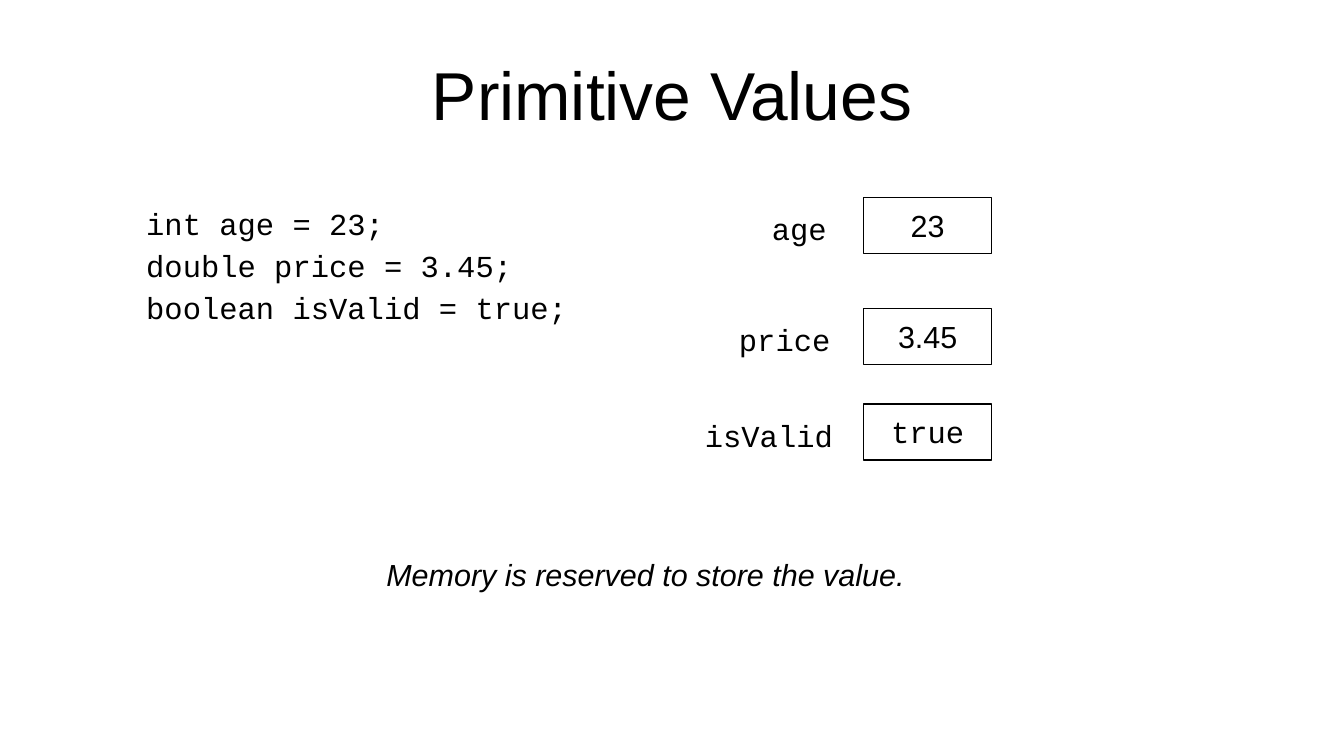
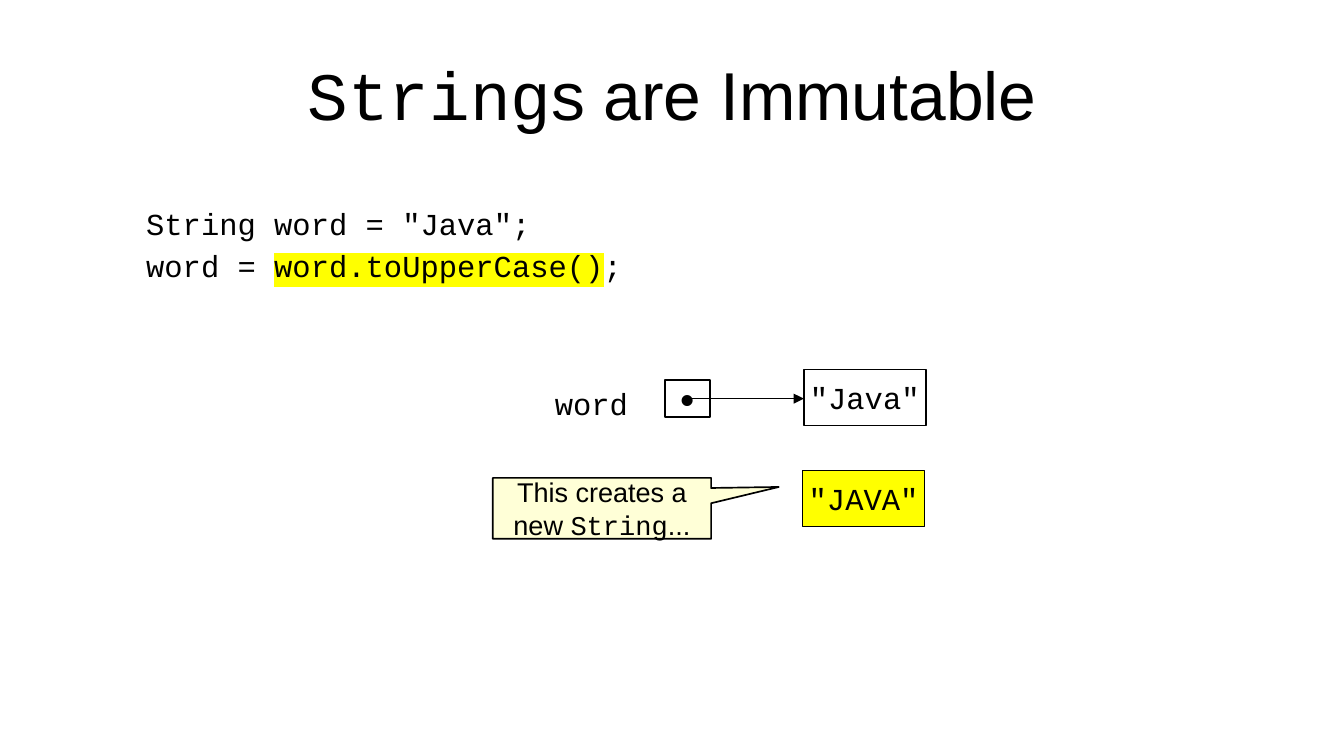
from dataclasses import dataclass
from typing import Optional

from lxml import etree
from pptx import Presentation
from pptx.dml.color import RGBColor
from pptx.enum.shapes import MSO_CONNECTOR, MSO_SHAPE
from pptx.enum.text import MSO_ANCHOR, MSO_AUTO_SIZE, PP_ALIGN
from pptx.oxml.ns import qn
from pptx.slide import Slide
from pptx.text.text import TextFrame
from pptx.util import Pt

RECT = MSO_SHAPE.RECTANGLE
CALLOUT = MSO_SHAPE.RECTANGULAR_CALLOUT
STRAIGHT = MSO_CONNECTOR.STRAIGHT
LEFT, CENTER = PP_ALIGN.LEFT, PP_ALIGN.CENTER
TOP, MIDDLE = MSO_ANCHOR.TOP, MSO_ANCHOR.MIDDLE
NO_FIT = MSO_AUTO_SIZE.NONE

BLACK = RGBColor(0x00, 0x00, 0x00)
WHITE = RGBColor(0xFF, 0xFF, 0xFF)
YELLOW = RGBColor(0xFF, 0xFF, 0x00)
CREAM = RGBColor(0xFF, 0xFF, 0xD7)
SANS, MONO = "Arial", "Courier New"

WIDTH, HEIGHT = 793.4, 446.4
TITLE_ONLY = 5
CELL_H = 33.1
LABEL_H = 27.4


@dataclass(frozen=True)
class Span:
    text: str
    font: str = MONO
    italic: bool = False
    mark: Optional[RGBColor] = None


Line = tuple[Span, ...]


@dataclass(frozen=True)
class Area:
    left: float
    top: float
    width: float
    height: float


@dataclass(frozen=True)
class Style:
    size: float = 18
    align: PP_ALIGN = LEFT
    anchor: MSO_ANCHOR = TOP
    pad: tuple[float, float] = (7.2, 3.6)
    spacing: float = 1.0
    wrap: bool = False


TITLE = Style(size=40, align=CENTER, anchor=MIDDLE, pad=(0, 0), wrap=True)
CODE = Style(spacing=1.15)
LABEL = Style()
CELL = Style(align=CENTER, anchor=MIDDLE, pad=(7.9, 4.3))
DOT = Style(size=24, align=CENTER, anchor=MIDDLE, pad=(7.9, 4.3))
NOTE = Style(size=16, align=CENTER, anchor=MIDDLE, pad=(7.9, 4.3))


# Text
def write(frame: TextFrame, lines: list[Line], style: Style) -> None:
    frame.auto_size = NO_FIT
    frame.word_wrap = style.wrap
    frame.vertical_anchor = style.anchor
    frame.margin_left = frame.margin_right = Pt(style.pad[0])
    frame.margin_top = frame.margin_bottom = Pt(style.pad[1])
    frame.text = "\n".join("" for _ in lines)
    for para, line in zip(frame.paragraphs, lines):
        para.alignment = style.align
        para.line_spacing = style.spacing
        for span in line:
            run = para.add_run()
            run.text = span.text
            font = run.font
            font.name, font.size = span.font, Pt(style.size)
            font.italic = span.italic
            font.color.rgb = BLACK
            if span.mark is not None:
                glow = etree.Element(qn("a:highlight"))
                etree.SubElement(glow, qn("a:srgbClr"), val=str(span.mark))
                run._r.rPr.find(qn("a:latin")).addprevious(glow)


def add_title(slide: Slide, line: Line) -> None:
    title = slide.shapes.title
    title.left, title.top = Pt(39.6), Pt(18)
    title.width, title.height = Pt(714.2), Pt(74.9)
    write(title.text_frame, [line], TITLE)


def add_text(slide: Slide, area: Area, lines: list[Line], style: Style) -> None:
    box = slide.shapes.add_textbox(
        Pt(area.left), Pt(area.top), Pt(area.width), Pt(area.height))
    write(box.text_frame, lines, style)


def add_code(slide: Slide, width: float, height: float, lines: list[Line]) -> None:
    add_text(slide, Area(79.2, 114.5, width, height), lines, CODE)


# Shapes
def add_box(slide: Slide, area: Area, lines: list[Line], style: Style = CELL,
            fill: RGBColor = WHITE, kind: MSO_SHAPE = RECT,
            tip: tuple[float, ...] = ()) -> None:
    box = slide.shapes.add_shape(
        kind, Pt(area.left), Pt(area.top), Pt(area.width), Pt(area.height))
    box.shadow.inherit = False
    box.fill.solid()
    box.fill.fore_color.rgb = fill
    box.line.color.rgb = BLACK
    box.line.width = Pt(1)
    for i, value in enumerate(tip):
        box.adjustments[i] = value
    write(box.text_frame, lines, style)


def add_arrow(slide: Slide, start: float, end: float, y: float) -> None:
    arrow = slide.shapes.add_connector(STRAIGHT, Pt(start), Pt(y), Pt(end), Pt(y))
    arrow.line.color.rgb = BLACK
    arrow.line.width = Pt(1)
    etree.SubElement(arrow.line._get_or_add_ln(), qn("a:tailEnd"), type="triangle")
    etree.SubElement(arrow._element.spPr, qn("a:effectLst"))


# Slides
def draw_values(slide: Slide) -> None:
    add_title(slide, (Span("Primitive Values", SANS),))
    add_code(slide, 262.8, 77.8, [
        (Span("int age = 23;"),),
        (Span("double price = 3.45;"),),
        (Span("boolean isValid = true;"),),
    ])
    # Variables: name, its left and width, value, top of the cell
    rows = [
        ("age", 448.6, 50.4, Span("23", SANS), 116.6),
        ("price", 429.1, 71.3, Span("3.45", SANS), 182.1),
        ("isValid", 409, 97.9, Span("true"), 238.4),
    ]
    for name, left, width, value, top in rows:
        add_box(slide, Area(509.8, top, 75.6, CELL_H), [(value,)])
        add_text(slide, Area(left, top + 4.1, width, LABEL_H), [(Span(name),)], LABEL)
    add_text(slide, Area(221, 324.7, 320.4, LABEL_H),
             [(Span("Memory is reserved to store the value.", SANS, italic=True),)],
             LABEL)


def draw_strings(slide: Slide) -> None:
    add_title(slide, (Span("String"), Span("s are Immutable", SANS)))
    add_code(slide, 295.2, 68.4, [
        (Span('String word = "Java";', mark=WHITE),),
        (Span("word = ", mark=WHITE), Span("word.toUpperCase()", mark=YELLOW),
         Span(";", mark=WHITE)),
    ])
    # Variable and the object it refers to
    add_text(slide, Area(320.4, 223.9, 71.3, LABEL_H), [(Span("word"),)], LABEL)
    add_box(slide, Area(392.4, 224.6, 26.6, 21.6), [(Span("•", SANS),)], DOT)
    add_box(slide, Area(474.5, 218.2, 72, CELL_H), [(Span('"Java"'),)])
    add_arrow(slide, 408.2, 474.5, 235.4)
    # New object and its callout
    add_box(slide, Area(473.8, 277.9, 72, CELL_H), [(Span('"JAVA"'),)], fill=YELLOW)
    add_box(slide, Area(290.9, 282.2, 128.9, 36), [
        (Span("This creates a", SANS),),
        (Span("new ", SANS), Span("String"), Span("...", SANS)),
    ], NOTE, CREAM, CALLOUT, (0.81, -0.35))


def main() -> None:
    deck = Presentation()
    deck.slide_width, deck.slide_height = Pt(WIDTH), Pt(HEIGHT)
    for draw in (draw_values, draw_strings):
        draw(deck.slides.add_slide(deck.slide_layouts[TITLE_ONLY]))
    deck.save("out.pptx")


if __name__ == "__main__":
    main()
